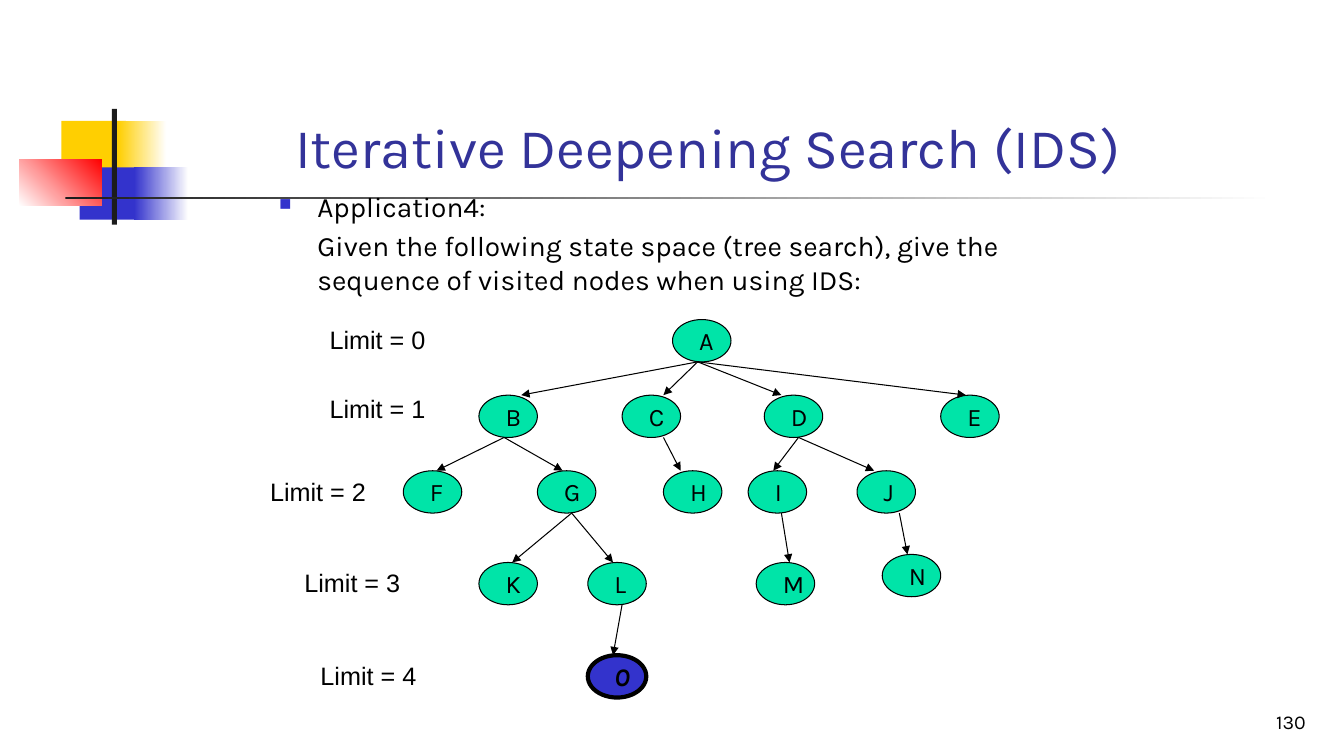
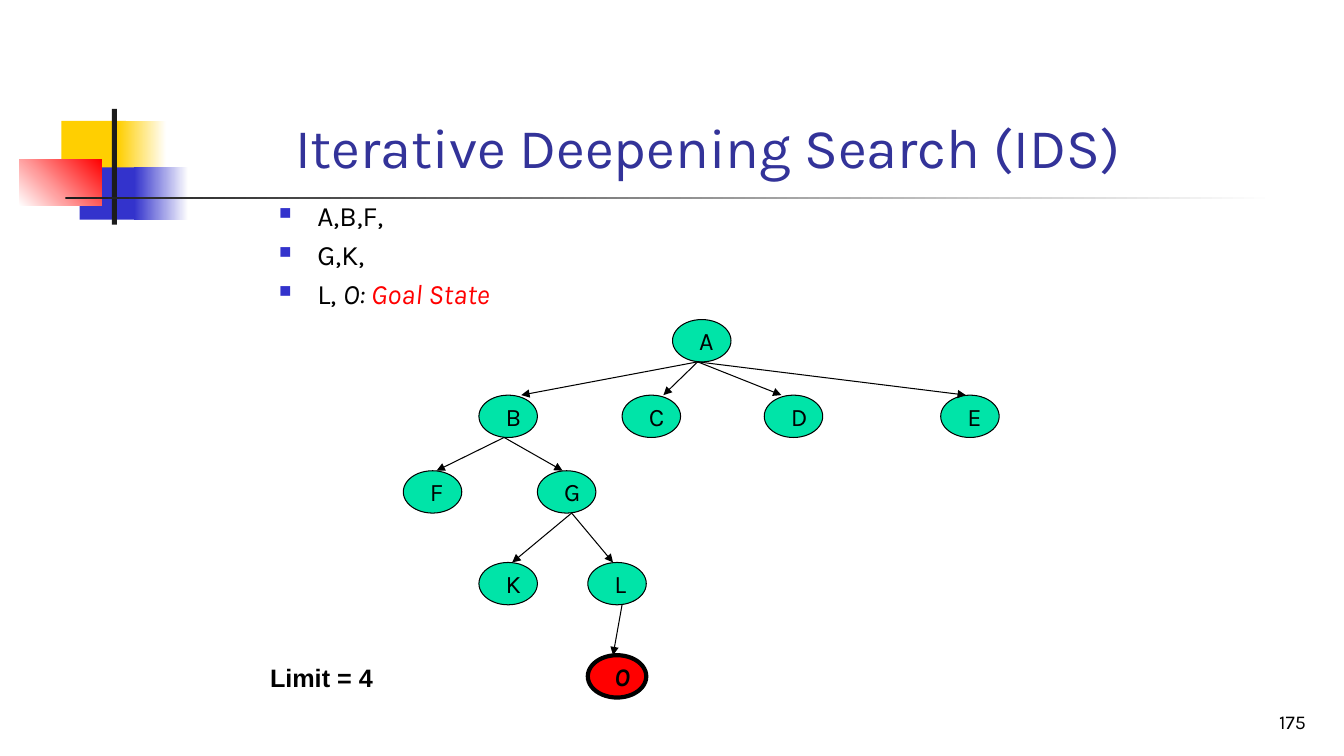
import pptx
import pptx.dml.color
import pptx.enum.shapes
import pptx.enum.text
import pptx.oxml
import pptx.oxml.ns
import pptx.util
from lxml import etree

Inches = pptx.util.Inches
Pt = pptx.util.Pt
RGBColor = pptx.dml.color.RGBColor
qn = pptx.oxml.ns.qn
ANCHOR = pptx.enum.text.MSO_ANCHOR
ALIGN = pptx.enum.text.PP_ALIGN
SHAPE = pptx.enum.shapes.MSO_SHAPE

COLORS = {
    "text": "000000",
    "title": "333399",
    "yellow": "FFCF01",
    "blue": "3333CC",
    "red": "FF0000",
    "dark": "1C1C1C",
    "white": "FFFFFF",
    "node": "00E4A8",
}
RGB = {name: RGBColor.from_string(value) for name, value in COLORS.items()}

TITLE = "Iterative Deepening Search (IDS)"
TITLE_FONT = {"name": "Karla", "size": Pt(40), "color": "title"}
BODY_FONT = {"name": "Karla", "size": Pt(20), "color": "text"}
NODE_FONT = {"name": "Karla", "size": Pt(18), "color": "text"}
LIMIT_FONT = {"name": "Arial", "size": Pt(18), "color": "text"}
NUMBER_FONT = {"name": "Karla", "size": Pt(14), "color": "text"}

BANDS = [
    ((0.61, 1.2, 0.64, 0.52), ["yellow"], 0),
    ((1.17, 1.2, 0.48, 0.52), ["yellow", "white"], 0),
    ((0.79, 1.66, 0.62, 0.52), ["blue"], 0),
    ((1.33, 1.66, 0.54, 0.52), ["blue", "white"], 0),
    ((0.19, 1.58, 0.82, 0.46), ["white", "red"], 45),
    ((1.11, 1.08, 0.05, 1.15), ["dark"], 0),
    ((0.65, 1.95, 12, 0.03), ["dark", "white"], 0),
]

NODE_WIDTH, NODE_HEIGHT = 0.58, 0.42
NODES = {
    "A": (6.67, 3.17),
    "B": (4.75, 3.92),
    "C": (6.17, 3.92),
    "D": (7.58, 3.92),
    "E": (9.33, 3.92),
    "F": (4, 4.67),
    "G": (5.33, 4.67),
    "H": (6.58, 4.67),
    "I": (7.42, 4.67),
    "J": (8.5, 4.67),
    "K": (4.75, 5.58),
    "L": (5.83, 5.58),
    "M": (7.5, 5.58),
    "N": (8.75, 5.5),
    "O": (5.83, 6.5),
}
EDGES = [
    ("A", "B", 6.92, 5.17),
    ("A", "C", 6.92, 6.58),
    ("A", "D", 6.92, 7.75),
    ("A", "E", 6.92, 9.58),
    ("B", "F", 5, 4.33),
    ("B", "G", 5, 5.58),
    ("C", "H", 6.58, 6.75),
    ("D", "I", 7.92, 7.67),
    ("D", "J", 7.92, 8.67),
    ("G", "K", 5.67, 5.08),
    ("G", "L", 5.67, 6.08),
    ("I", "M", 7.75, 7.83),
    ("J", "N", 8.92, 9),
    ("L", "O", 6.17, 6.08),
]

SLIDES = [
    {
        "number": "130",
        "body_top": 1.83,
        "body": [
            (True, [("Application4:", {})]),
            (False, [("Given the following state space (tree search), give the "
                      "sequence of visited nodes when using IDS:", {})]),
        ],
        "nodes": "ABCDEFGHIJKLMNO",
        "goal": "blue",
        "limits": [
            ("Limit = 0", 3.17, 3.17),
            ("Limit = 1", 3.17, 3.85),
            ("Limit = 2", 2.58, 4.68),
            ("Limit = 3", 2.92, 5.58),
            ("Limit = 4", 3.08, 6.5),
        ],
        "limit_format": {},
    },
    {
        "number": "175",
        "body_top": 1.92,
        "body": [
            (True, [("A,B,F,", {})]),
            (True, [("G,K,", {})]),
            (True, [("L, ", {}), ("O: ", {"italic": True}),
                    ("Goal State", {"italic": True, "color": "red"})]),
        ],
        "nodes": "ABCDEFGKLO",
        "goal": "red",
        "limits": [("Limit = 4", 2.58, 6.52)],
        "limit_format": {"bold": True},
    },
]


def add_run(paragraph, text, values):
    run = paragraph.add_run()
    run.text = text
    for name, value in values.items():
        if name == "color":
            run.font.color.rgb = RGB[value]
        else:
            setattr(run.font, name, value)


def add_text_box(slide, box, text="", values=None, anchor=ANCHOR.TOP, align=ALIGN.LEFT):
    shape = slide.shapes.add_textbox(*map(Inches, box))
    frame = shape.text_frame
    frame.word_wrap = True
    frame.vertical_anchor = anchor
    frame.paragraphs[0].alignment = align
    if text:
        add_run(frame.paragraphs[0], text, values)
    return frame


presentation = pptx.Presentation()
presentation.slide_width = Inches(13.33)
presentation.slide_height = Inches(7.5)

for content in SLIDES:
    slide = presentation.slides.add_slide(presentation.slide_layouts[6])

    for box, colors, angle in BANDS:
        band = slide.shapes.add_shape(SHAPE.RECTANGLE, *map(Inches, box))
        band.shadow.inherit = False
        band.line.fill.background()
        if len(colors) == 1:
            band.fill.solid()
            band.fill.fore_color.rgb = RGB[colors[0]]
        else:
            band.fill.gradient()
            band.fill.gradient_angle = angle
            for stop, color in zip(band.fill.gradient_stops, colors):
                stop.color.rgb = RGB[color]

    add_text_box(slide, (10.27, 6.83, 2.78, 0.5), content["number"], NUMBER_FONT,
                 ANCHOR.BOTTOM, ALIGN.RIGHT)
    add_text_box(slide, (2.83, 0.58, 8.5, 1.25), TITLE, TITLE_FONT, ANCHOR.BOTTOM)

    body = add_text_box(slide, (2.67, content["body_top"], 8.5, 0.92))
    for index, (bulleted, runs) in enumerate(content["body"]):
        paragraph = body.add_paragraph() if index else body.paragraphs[0]
        if index:
            paragraph.space_before = Pt(4)
        properties = paragraph._p.get_or_add_pPr()
        properties.set("marL", str(Inches(0.38)))
        properties.set("indent", str(Inches(-0.38) if bulleted else 0))
        if bulleted:
            color = etree.SubElement(properties, qn("a:buClr"))
            etree.SubElement(color, qn("a:srgbClr"), val=COLORS["blue"])
            etree.SubElement(properties, qn("a:buSzPct"), val="60000")
            etree.SubElement(properties, qn("a:buChar"), char="■")
        for text, values in runs:
            add_run(paragraph, text, {**BODY_FONT, **values})

    for letter in content["nodes"]:
        goal = letter == "O"
        left, top = NODES[letter]
        node = slide.shapes.add_shape(SHAPE.OVAL, Inches(left), Inches(top),
                                      Inches(NODE_WIDTH), Inches(NODE_HEIGHT))
        node.shadow.inherit = False
        node.fill.solid()
        node.fill.fore_color.rgb = RGB[content["goal"] if goal else "node"]
        node.line.color.rgb = RGB["text"]
        node.line.width = Pt(3 if goal else 0.75)
        frame_format = {
            "margin_left": Inches(0.18),
            "margin_right": 0,
            "margin_top": 0,
            "margin_bottom": 0,
            "word_wrap": True,
            "vertical_anchor": ANCHOR.MIDDLE,
        }
        for name, value in frame_format.items():
            setattr(node.text_frame, name, value)
        paragraph = node.text_frame.paragraphs[0]
        paragraph.alignment = ALIGN.LEFT
        add_run(paragraph, letter, {**NODE_FONT, "bold": goal, "italic": goal})

    for parent, child, start, end in EDGES:
        if child not in content["nodes"]:
            continue
        arrow = slide.shapes.add_connector(
            pptx.enum.shapes.MSO_CONNECTOR.STRAIGHT,
            Inches(start), Inches(NODES[parent][1] + NODE_HEIGHT),
            Inches(end), Inches(NODES[child][1]))
        arrow.line.color.rgb = RGB["text"]
        arrow.line.width = Pt(0.75)
        properties = arrow._element.spPr
        etree.SubElement(properties.find(qn("a:ln")), qn("a:tailEnd"), type="triangle")
        etree.SubElement(properties, qn("a:effectLst"))

    for text, left, top in content["limits"]:
        add_text_box(slide, (left, top, 1.33, 0.4), text,
                     {**LIMIT_FONT, **content["limit_format"]})

presentation.save("out.pptx")
